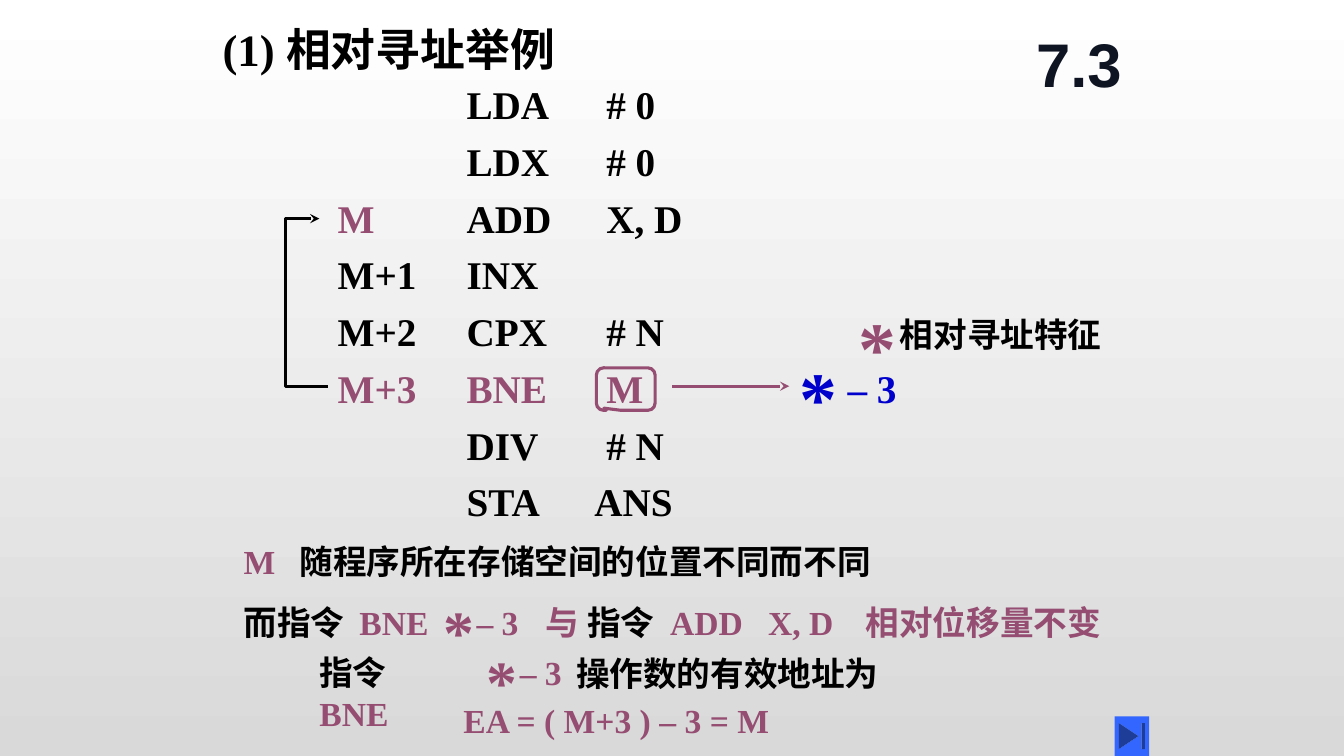
"""Build the relative addressing example slide."""
from lxml import etree
from pptx import Presentation, util as u
from pptx.dml.color import RGBColor
from pptx.enum import shapes, text
from pptx.oxml.ns import qn

BLACK, PLUM, BLUE, NAVY = "000000", "954D72", "0000CC", "0F1423"
SERIF, SANS = "Times New Roman", "Arial"

PROGRAM = [
    ("", "LDA", "# 0", BLACK),
    ("", "LDX", "# 0", BLACK),
    ("M", "ADD", "X, D", BLACK),
    ("M+1", "INX", "", BLACK),
    ("M+2", "CPX", "# N", BLACK),
    ("M+3", "BNE", "M", PLUM),
    ("", "DIV", "# N", BLACK),
    ("", "STA", "ANS", BLACK),
]
LABEL_LEFT, CODE_LEFT, CODE_TOP, ROW_STEP = 8.26, 11.51, 1.9, 1.43
OPERAND_TAB, ANSWER_TAB = 3.52, 3.22

NOTES = [
    ((5.89, 13.51, 25.22, 1.27), [("M\t", PLUM), ("随程序所在存储空间的位置不同而不同", BLACK)], [1.41]),
    ((5.89, 15.04, 25.22, 1.27),
     [("而指令\t", BLACK), ("BNE\t与\t", PLUM), ("指令\t", BLACK),
      ("ADD\tX, D\t相对位移量不变", PLUM)],
     [2.92, 7.62, 8.66, 10.75, 13.22, 15.68]),
    ((7.8, 16.31, 2.6, 2.3), [("指令 ", BLACK), ("BNE", PLUM)], []),
    ((14.27, 16.31, 8.6, 1.27), [("操作数的有效地址为", BLACK)], []),
    ((11.43, 17.5, 9, 1.27), [("EA = ( M+3 ) – 3 = M", PLUM)], []),
    ((22.43, 7.77, 6.15, 1.27), [("相对寻址特征", BLACK)], []),
]

STARS = [
    (21.39, 7.42, 54, PLUM),
    (19.89, 8.69, 54, BLUE),
    (10.92, 14.81, 44, PLUM),
    (12.01, 16.08, 44, PLUM),
]
OFFSETS = [
    (21.11, 8.94, 28, BLUE),
    (11.76, 14.94, 24, PLUM),
    (12.85, 16.21, 24, PLUM),
]
LOOP = [(8.26, 9.73), (7.2, 9.73), (7.2, 5.51), (8.05, 5.51)]


def color(value):
    return RGBColor.from_string(value)


def place(*lengths):
    return [u.Cm(length) for length in lengths]


def add_text(page, area, runs, size, tabs=(), font=SERIF, indent=0, top=0.13):
    box = page.shapes.add_textbox(*place(*area))
    frame = box.text_frame
    frame.word_wrap = True
    frame.margin_top = u.Cm(top)
    para = frame.paragraphs[0]
    properties = para._p.get_or_add_pPr()
    if indent:
        properties.set("indent", str(u.Cm(indent)))
    if tabs:
        stops = etree.SubElement(properties, qn("a:tabLst"))
        for tab in tabs:
            etree.SubElement(stops, qn("a:tab"), pos=str(u.Cm(tab)), algn="l")
    para.font.name, para.font.size, para.font.bold = font, u.Pt(size), True
    for words, shade in runs:
        span = para.add_run()
        span.text = words
        span.font.color.rgb = color(shade)
    return box


def style_line(shape, shade, arrow=False):
    shape.line.color.rgb = color(shade)
    shape.line.width = u.Pt(2.25)
    if arrow:
        etree.SubElement(shape.line._get_or_add_ln(), qn("a:tailEnd"), type="stealth")


def add_program(page):
    for row, (label, operation, operand, shade) in enumerate(PROGRAM):
        top = CODE_TOP + row * ROW_STEP
        if label:
            label_shade = PLUM if label == "M" else shade
            add_text(page, (LABEL_LEFT, top, 2.5, 1.45), [(label, label_shade)], 28)
        code = f"{operation}\t{operand}" if operand else operation
        tab = ANSWER_TAB if operand == "ANS" else OPERAND_TAB
        add_text(page, (CODE_LEFT, top, 6.4, 1.45), [(code, shade)], 28, [tab])


def add_marks(page):
    builder = page.shapes.build_freeform(*place(*LOOP[0]), scale=1.0)
    builder.add_line_segments([place(*point) for point in LOOP[1:]], close=False)
    loop = builder.convert_to_shape()
    loop.shadow.inherit = False
    loop.fill.background()
    style_line(loop, BLACK, arrow=True)

    arrow = page.shapes.add_connector(
        shapes.MSO_CONNECTOR.STRAIGHT, *place(16.94, 9.73, 19.89, 9.73))
    style_line(arrow, PLUM, arrow=True)
    etree.SubElement(arrow._element.spPr, qn("a:effectLst"))

    callout = page.shapes.add_shape(
        shapes.MSO_SHAPE.ROUNDED_RECTANGULAR_CALLOUT, *place(15.03, 9.27, 1.48, 1.07))
    for index, value in enumerate((-0.37, 0.45, 0.17)):
        callout.adjustments[index] = value
    callout.shadow.inherit = False
    callout.fill.background()
    style_line(callout, PLUM)

    button = page.shapes.add_shape(
        shapes.MSO_SHAPE.ACTION_BUTTON_END, *place(28.09, 18.05, 0.87, 1))
    button.shadow.inherit = False
    button.fill.solid()
    button.fill.fore_color.rgb = color("3366FF")
    button.line.fill.background()


def main():
    deck = Presentation()
    deck.slide_width, deck.slide_height = place(33.87, 19.05)
    page = deck.slides.add_slide(deck.slide_layouts[6])
    backdrop = page.background.fill
    backdrop.gradient()
    backdrop.gradient_angle = 270
    for stop, shade, position in zip(backdrop.gradient_stops, ("FFFFFF", "D9D9D9"), (0, 1)):
        stop.color.rgb = color(shade)
        stop.position = position

    add_text(page, (5.08, 0.42, 9.17, 2.9), [("(1) 相对寻址举例", BLACK)], 32, indent=0.28)
    add_program(page)
    for area, runs, tabs in NOTES:
        add_text(page, area, runs, 24, tabs)
    for left, top, size, shade in OFFSETS:
        add_text(page, (left, top, 1.75, 1.45), [("– 3", shade)], size, top=0.23)
    for left, top, size, shade in STARS:
        add_text(page, (left, top, 1.9, 2.4), [("*", shade)], size)
    chapter = add_text(page, (25.6, 0.42, 3.18, 2.33), [("7.3", NAVY)], 44, font=SANS)
    chapter.text_frame.vertical_anchor = text.MSO_ANCHOR.MIDDLE
    chapter.text_frame.paragraphs[0].alignment = text.PP_ALIGN.CENTER
    add_marks(page)
    deck.save("out.pptx")


if __name__ == "__main__":
    main()
